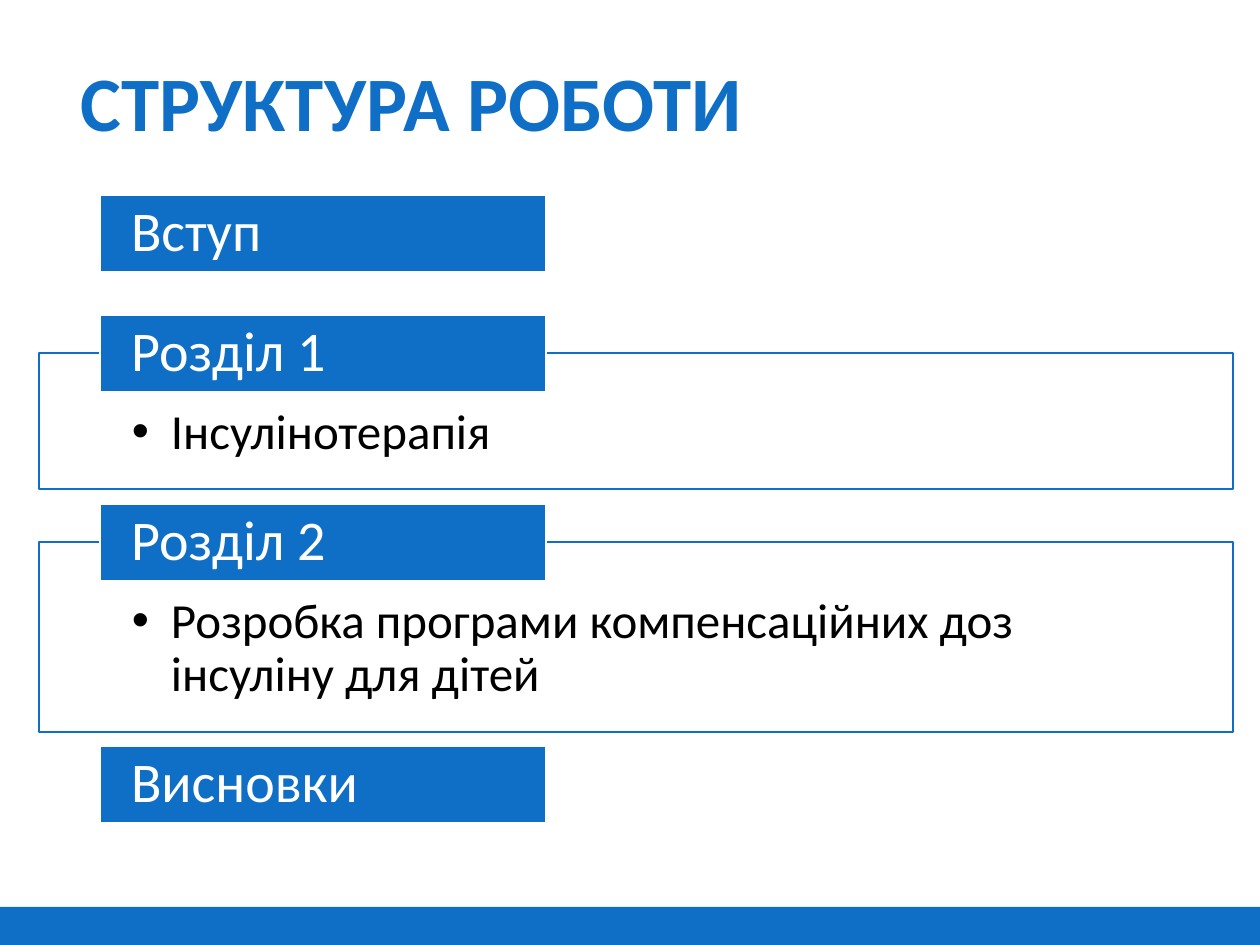
from pptx import Presentation
from pptx.dml.color import RGBColor
from pptx.enum.shapes import MSO_SHAPE as Preset
from pptx.enum.text import MSO_ANCHOR as Anchor, PP_ALIGN as Align
from pptx.oxml.ns import qn
from pptx.util import Emu, Pt
from lxml.etree import SubElement

BLUE = RGBColor(0x0F, 0x6F, 0xC6)
WHITE = RGBColor(0xFF, 0xFF, 0xFF)
BLACK = RGBColor(0x00, 0x00, 0x00)
SCALE = 914400 / 126  # EMU in one px


def px(length):
    return Emu(round(length * SCALE))


def add_box(place, fill=None, line=None, line_width=0, text="", size=0,
            color=BLACK, bold=False, anchor=Anchor.TOP, insets=(0, 0, 0, 0)):
    box = page.shapes.add_shape(Preset.RECTANGLE, *map(px, place))
    box.shadow.inherit = False
    for part, paint in ((box.fill, fill), (box.line.fill, line)):
        if paint is None:
            part.background()
        else:
            part.solid()
            part.fore_color.rgb = paint
    if line is not None:
        box.line.width = Pt(line_width)
    left, top, right, bottom = map(px, insets)
    frame = box.text_frame
    frame_format = {"word_wrap": True, "vertical_anchor": anchor,
                    "margin_left": left, "margin_top": top,
                    "margin_right": right, "margin_bottom": bottom}
    for name, value in frame_format.items():
        setattr(frame, name, value)
    if text:
        para = frame.paragraphs[0]
        para.alignment, para.line_spacing = Align.LEFT, 0.9
        span = para.add_run()
        span.text = text
        span.font.color.rgb = color
        for name, value in {"name": "Calibri", "size": Pt(size), "bold": bold}.items():
            setattr(span.font, name, value)
    return box


deck = Presentation()
deck.slide_width, deck.slide_height = px(1260), px(945)
page = deck.slides.add_slide(deck.slide_layouts[6])

# Footer band
add_box((0, 907, 1260, 38), fill=BLUE)

# Title
add_box((68, 69, 882, 85), text="СТРУКТУРА РОБОТИ", size=44, color=BLUE,
        bold=True, anchor=Anchor.BOTTOM, insets=(13, 6, 13, 6))

# Sections: tab top, heading, panel height, bullet text
TAB_HEIGHT = 77
sections = [
    (195, "Вступ", 0, ""),
    (315, "Розділ 1", 136, "Інсулінотерапія"),
    (504, "Розділ 2", 190, "Розробка програми компенсаційних доз інсуліну для дітей"),
    (746, "Висновки", 0, ""),
]
for top, heading, panel_height, detail in sections:
    # The panel starts at the middle of its tab
    if detail:
        panel = add_box((39, top + TAB_HEIGHT // 2, 1194, panel_height),
                        fill=WHITE, line=BLUE, line_width=1, text=detail,
                        size=28, insets=(93, 54, 93, 28))
        settings = panel.text_frame.paragraphs[0]._p.get_or_add_pPr()
        settings.set("marL", str(px(39)))
        settings.set("indent", str(-px(39)))
        SubElement(settings, qn("a:buFont")).set("typeface", "Arial")
        SubElement(settings, qn("a:buChar")).set("char", "•")
    add_box((100, top, 446, TAB_HEIGHT), fill=BLUE, line=WHITE, line_width=1.5,
            text=heading, size=32, color=WHITE, anchor=Anchor.MIDDLE,
            insets=(31, 0, 31, 0))

deck.save("out.pptx")
